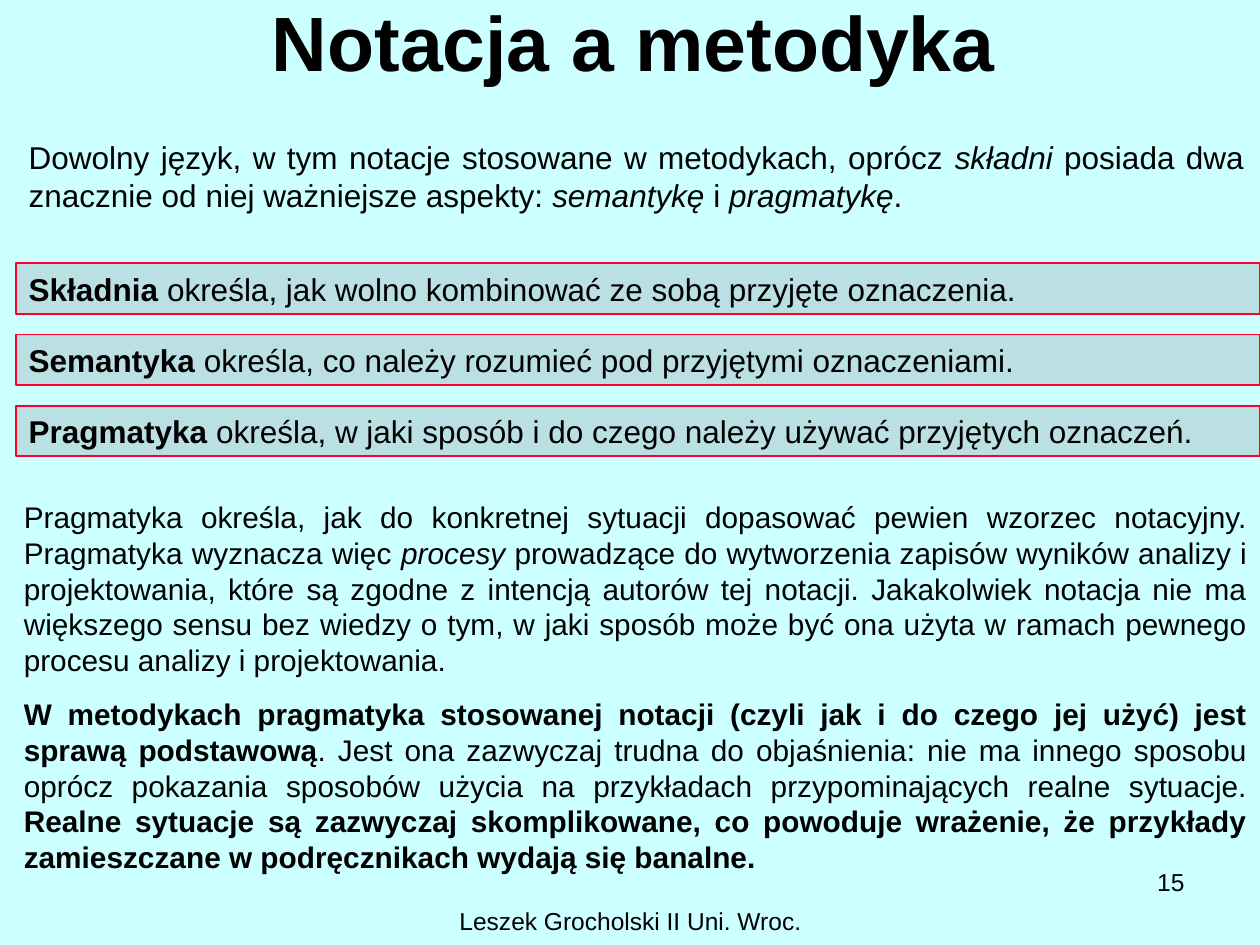
from dataclasses import dataclass

import pptx
import pptx.dml.color
import pptx.enum.shapes
import pptx.enum.text
import pptx.util

Inches = pptx.util.Inches
Align = pptx.enum.text.PP_ALIGN
Anchor = pptx.enum.text.MSO_ANCHOR
AutoSize = pptx.enum.text.MSO_AUTO_SIZE


@dataclass(frozen=True)
class Theme:
    font: str = "Arial"
    background: str = "CCFFFF"
    ink: str = "000000"
    band_fill: str = "BBE0E3"
    band_line: str = "FC0128"
    title_size: float = 44
    lead_size: float = 18
    body_size: float = 17
    footer_size: float = 14


@dataclass(frozen=True)
class Span:
    text: str
    bold: bool = False
    italic: bool = False


@dataclass(frozen=True)
class Block:
    left: float
    top: float
    width: float
    height: float
    size: float
    paragraphs: list[list[Span]]
    align: Align = Align.LEFT
    space_after: float = 0


THEME = Theme()

LEAD = Block(0.13, 1.05, 9.84, 0.7, THEME.lead_size, [[
    Span("Dowolny język, w tym notacje stosowane w metodykach, oprócz "),
    Span("składni", italic=True),
    Span(" posiada dwa znacznie od niej ważniejsze aspekty: "),
    Span("semantykę", italic=True),
    Span(" i "),
    Span("pragmatykę", italic=True),
    Span("."),
]], Align.JUSTIFY)

DEFINITIONS = [
    ("Składnia", " określa, jak wolno kombinować ze sobą przyjęte oznaczenia."),
    ("Semantyka", " określa, co należy rozumieć pod przyjętymi oznaczeniami."),
    ("Pragmatyka", " określa, w jaki sposób i do czego należy używać przyjętych oznaczeń."),
]
BAND_TOP, BAND_STEP = 2.09, 0.565

EXPLANATION = Block(0.09, 3.91, 9.91, 3.09, THEME.body_size, [
    [
        Span("Pragmatyka określa, jak do konkretnej sytuacji dopasować pewien wzorzec "
             "notacyjny. Pragmatyka wyznacza więc "),
        Span("procesy", italic=True),
        Span(" prowadzące do wytworzenia zapisów wyników analizy i projektowania, które są "
             "zgodne z intencją autorów tej notacji. Jakakolwiek notacja nie ma większego "
             "sensu bez wiedzy o tym, w jaki sposób może być ona użyta w ramach pewnego "
             "procesu analizy i projektowania."),
    ],
    [
        Span("W metodykach pragmatyka stosowanej notacji (czyli jak i do czego jej użyć) "
             "jest sprawą podstawową", bold=True),
        Span(". Jest ona zazwyczaj trudna do objaśnienia: nie ma innego sposobu oprócz "
             "pokazania sposobów użycia na przykładach przypominających realne sytuacje. "),
        Span("Realne sytuacje są zazwyczaj skomplikowane, co powoduje wrażenie, że przykłady "
             "zamieszczane w podręcznikach wydają się banalne.", bold=True),
    ],
], Align.JUSTIFY, space_after=10.6)

FOOTER = Block(3.42, 7.14, 3.17, 0.36, THEME.footer_size,
               [[Span("Leszek Grocholski II Uni. Wroc.")]], Align.CENTER)
PAGE_NUMBER = Block(7.17, 6.83, 2.33, 0.52, THEME.footer_size, [[Span("15")]], Align.RIGHT)


def color(value: str) -> pptx.dml.color.RGBColor:
    return pptx.dml.color.RGBColor.from_string(value)


def bounds(block: Block) -> list[pptx.util.Length]:
    return [Inches(n) for n in (block.left, block.top, block.width, block.height)]


def write_text(frame, block: Block, inset_x: float = 0.1, inset_y: float = 0.05,
               anchor: Anchor = Anchor.TOP) -> None:
    frame.word_wrap = True
    frame.auto_size = AutoSize.NONE
    frame.vertical_anchor = anchor
    frame.margin_left = frame.margin_right = Inches(inset_x)
    frame.margin_top = frame.margin_bottom = Inches(inset_y)
    for index, spans in enumerate(block.paragraphs):
        para = frame.add_paragraph() if index else frame.paragraphs[0]
        para.alignment = block.align
        para.space_before = pptx.util.Pt(0)
        para.space_after = pptx.util.Pt(block.space_after)
        para.font.name = THEME.font
        para.font.size = pptx.util.Pt(block.size)
        para.font.color.rgb = color(THEME.ink)
        for span in spans:
            run = para.add_run()
            run.text = span.text
            run.font.bold = span.bold
            run.font.italic = span.italic


def add_title(page, block: Block) -> None:
    title = page.shapes.title
    title.left, title.top, title.width, title.height = bounds(block)
    write_text(title.text_frame, block, 0, 0, Anchor.MIDDLE)


def add_text(page, block: Block) -> None:
    write_text(page.shapes.add_textbox(*bounds(block)).text_frame, block)


def add_band(page, block: Block) -> None:
    band = page.shapes.add_shape(pptx.enum.shapes.MSO_SHAPE.RECTANGLE, *bounds(block))
    band.shadow.inherit = False
    band.fill.solid()
    band.fill.fore_color.rgb = color(THEME.band_fill)
    band.line.color.rgb = color(THEME.band_line)
    band.line.width = pptx.util.Pt(1)
    write_text(band.text_frame, block)


def main() -> None:
    deck = pptx.Presentation()
    deck.slide_width, deck.slide_height = Inches(10), Inches(7.5)
    page = deck.slides.add_slide(deck.slide_layouts.get_by_name("Title Only"))
    page.background.fill.solid()
    page.background.fill.fore_color.rgb = color(THEME.background)

    # Title
    add_title(page, Block(0.53, 0.13, 9, 0.38, THEME.title_size,
                          [[Span("Notacja a metodyka", bold=True)]], Align.CENTER))

    # Running text, footer and page number
    for block in (FOOTER, PAGE_NUMBER, LEAD, EXPLANATION):
        add_text(page, block)

    # Definition bands
    for index, (term, meaning) in enumerate(DEFINITIONS):
        add_band(page, Block(0.13, BAND_TOP + index * BAND_STEP, 9.87, 0.4, THEME.lead_size,
                             [[Span(term, bold=True), Span(meaning)]]))

    deck.save("out.pptx")


if __name__ == "__main__":
    main()
